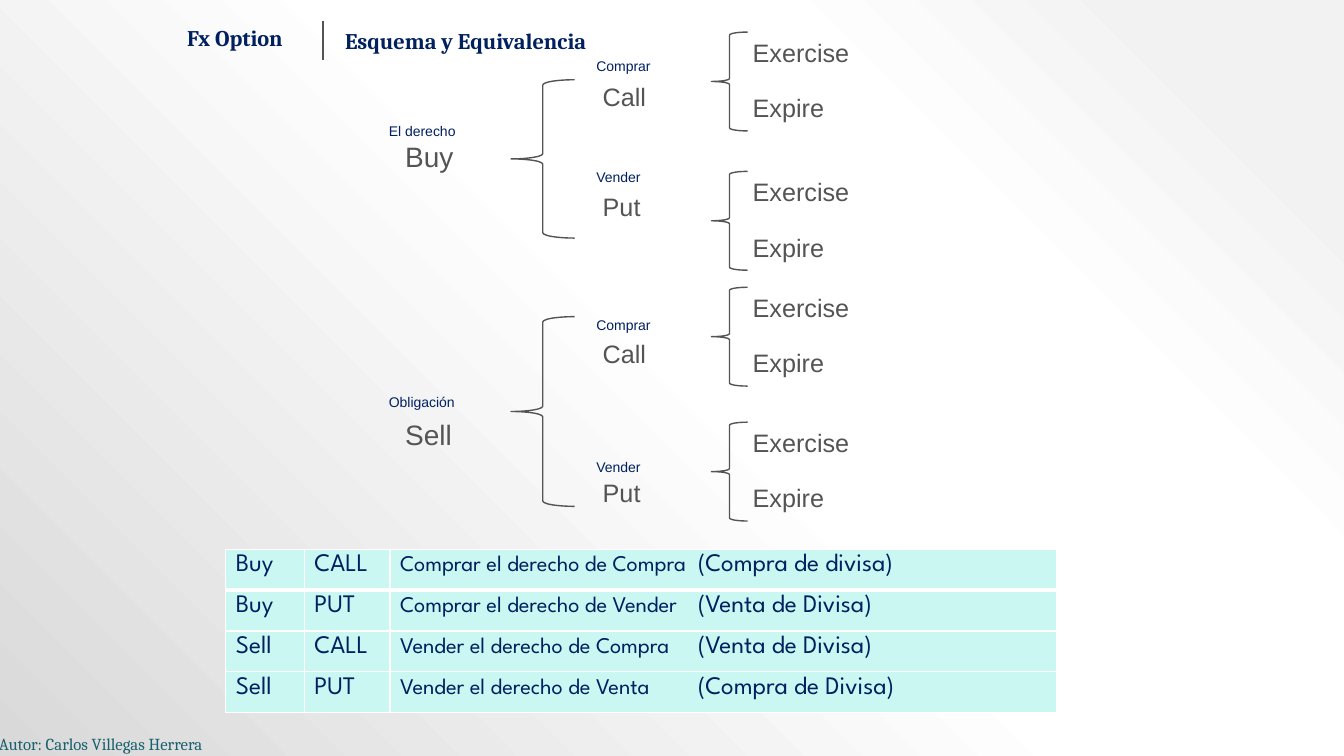
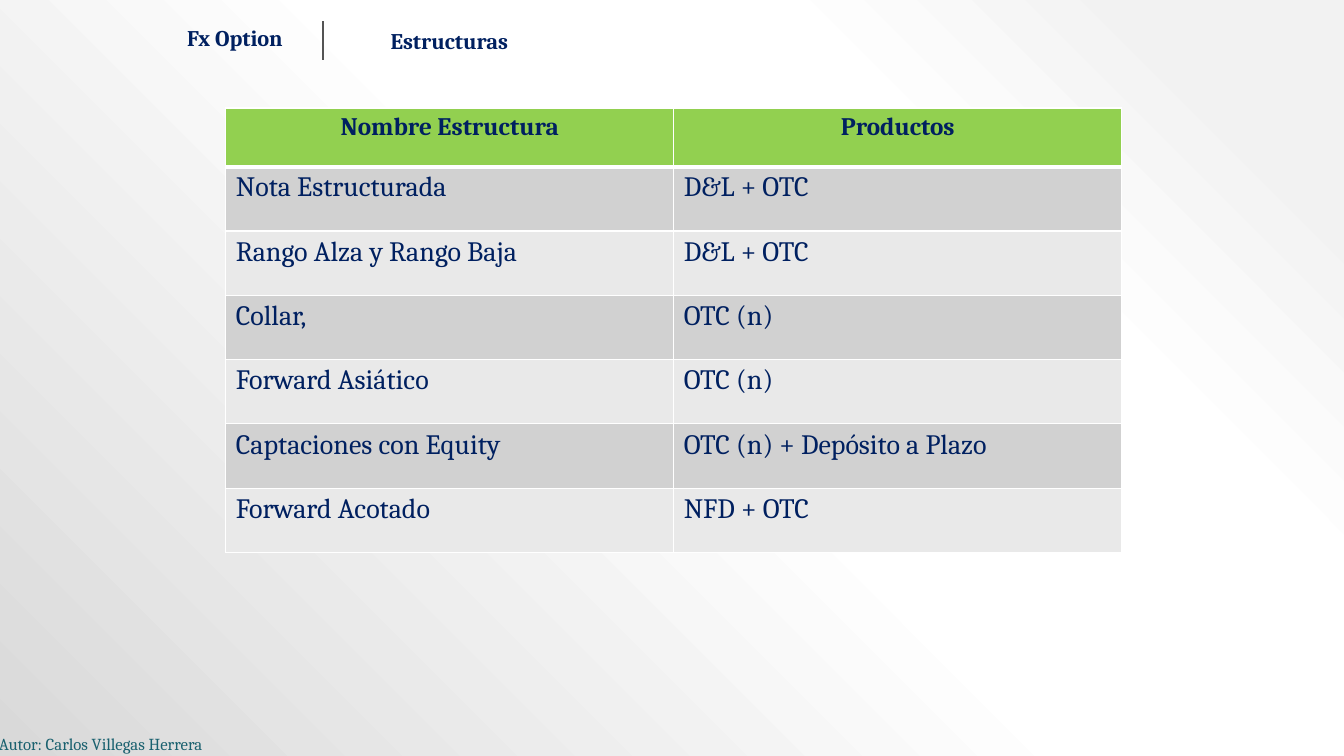
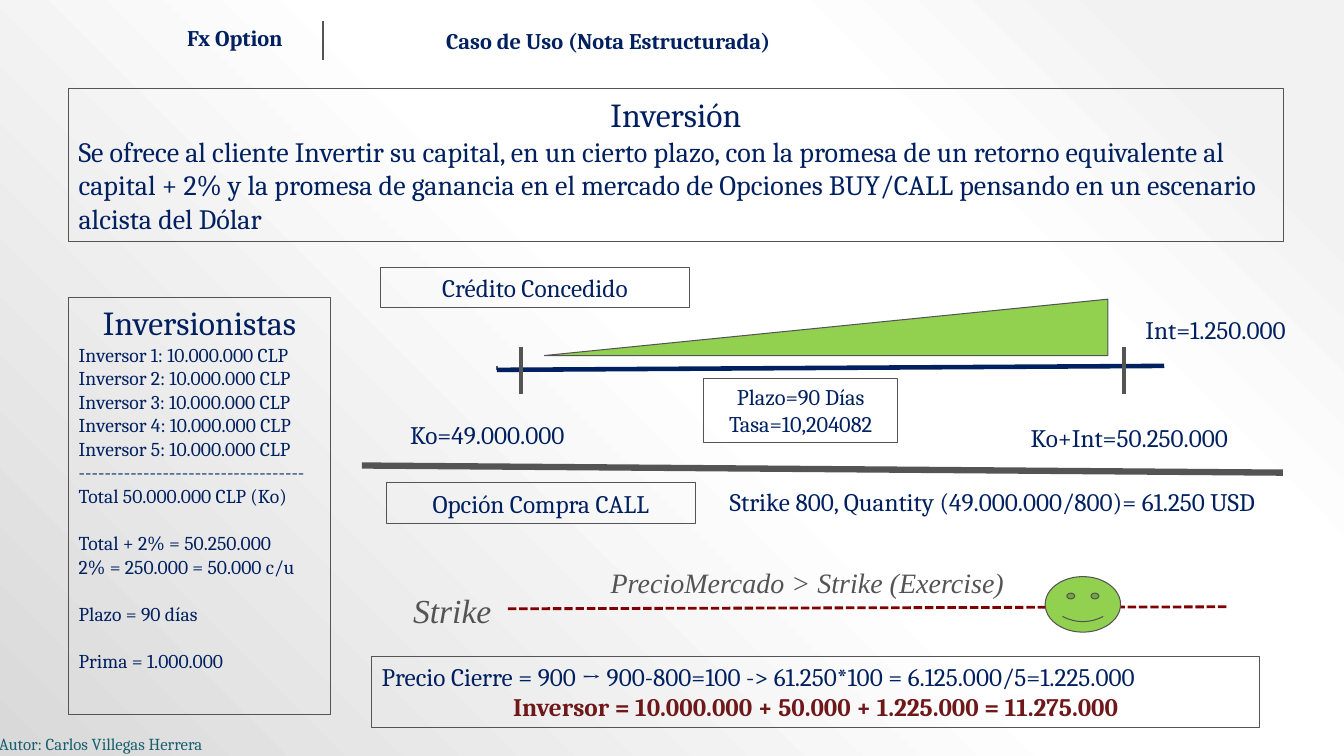
from dataclasses import dataclass
from typing import NamedTuple, Optional, Sequence

from lxml.etree import SubElement
from pptx import Presentation
from pptx.dml.color import RGBColor
from pptx.enum.dml import MSO_LINE_DASH_STYLE as Dash
from pptx.enum.shapes import MSO_CONNECTOR as Connector, MSO_SHAPE as Preset
from pptx.enum.text import MSO_ANCHOR as Anchor, MSO_AUTO_SIZE as AutoSize, PP_ALIGN as Align
from pptx.oxml import parse_xml
from pptx.oxml.ns import nsdecls, qn
from pptx.util import Cm, Pt

NAVY = RGBColor(0x00, 0x20, 0x60)
GRAY = RGBColor(0x54, 0x54, 0x54)
TEAL = RGBColor(0x1A, 0x61, 0x6F)
GREEN = RGBColor(0x92, 0xD0, 0x50)
AQUA = RGBColor(0xCA, 0xF7, 0xF1)
DARK_BAND = RGBColor(0xD1, 0xD1, 0xD1)
LIGHT_BAND = RGBColor(0xE9, 0xE9, 0xE9)
MAROON = RGBColor(0x80, 0x00, 0x00)
WINE = RGBColor(0x6F, 0x18, 0x1A)
WHITE = RGBColor(0xFF, 0xFF, 0xFF)
BACKGROUND_STOPS = ((10, "F2F2F2"), (28, "FFFFFF"), (48, "FFFFFF"), (100, "D9D9D9"))

TITLE_ONLY, TITLE_AND_BODY = 5, 1
LINE_HEIGHT = 1.02


class Box(NamedTuple):
    """Left, top, width and height in centimetres."""
    left: float
    top: float
    width: float
    height: float

    def lengths(self) -> tuple:
        return tuple(Cm(value) for value in self)


class Point(NamedTuple):
    x: float
    y: float


@dataclass(frozen=True)
class Style:
    size: float
    font: str = "Cambria"
    color: RGBColor = NAVY
    bold: bool = False
    italic: bool = False


class Run(NamedTuple):
    text: str
    style: Style


@dataclass(frozen=True)
class Para:
    runs: Sequence[Run]
    align: Align = Align.LEFT
    before: float = 0


@dataclass(frozen=True)
class Position:
    """A side of the option contract, with its brace."""
    name: str
    name_top: float
    note: str
    note_top: float
    brace_top: float
    brace_height: float


@dataclass(frozen=True)
class Instrument:
    name: str
    name_top: float
    note: str
    note_top: float
    outcome_top: float


HEADING = Style(16, bold=True)
CREDIT = Style(12, color=TEAL)
SECTION = Style(24)
BODY = Style(20)
LABEL = Style(18)
TERM = Style(16)
LIST = Style(14)
RESULT = Style(18, color=WINE, bold=True)
TABLE_HEADER = Style(18, bold=True)
SIDE = Style(20, "Arial", GRAY)
BRANCH = Style(18, "Arial", GRAY)
NOTE = Style(10, "Arial")
MEANING = Style(16, "League Spartan")
EQUIVALENCE = Style(18, "League Spartan")
STRIKE = Style(24, "Times New Roman", GRAY, italic=True)
MARKET = Style(20, "Times New Roman", GRAY, italic=True)

POSITIONS = (
    Position("Buy", 3.4, "El derecho", 2.95, 2.01, 3.99),
    Position("Sell", 10.39, "Obligación", 9.8, 7.98, 4.78),
)
INSTRUMENTS = (
    Instrument("Call", 1.93, "Comprar", 1.32, 0.81),
    Instrument("Put", 4.7, "Vender", 4.11, 4.32),
    Instrument("Call", 8.41, "Comprar", 7.85, 7.24),
    Instrument("Put", 11.91, "Vender", 11.43, 10.64),
)
EQUIVALENCES = (
    ("Buy", "CALL", "Comprar el derecho de Compra", "(Compra de divisa)"),
    ("Buy", "PUT", "Comprar el derecho de Vender", "(Venta de Divisa)"),
    ("Sell", "CALL", "Vender el derecho de Compra", "(Venta de Divisa)"),
    ("Sell", "PUT", "Vender el derecho de Venta", "(Compra de Divisa)"),
)
STRUCTURES = (
    ("Nota Estructurada", "D&L + OTC"),
    ("Rango Alza y Rango Baja", "D&L + OTC"),
    ("Collar,", "OTC (n)"),
    ("Forward Asiático", "OTC (n)"),
    ("Captaciones con Equity", "OTC (n) + Depósito a Plazo"),
    ("Forward Acotado", "NFD + OTC"),
)


def para(text: str, style: Style, align: Align = Align.LEFT, before: float = 0) -> Para:
    return Para((Run(text, style),), align, before)


def write(frame, paras: Sequence[Para]) -> None:
    for index, content in enumerate(paras):
        paragraph = frame.paragraphs[0] if index == 0 else frame.add_paragraph()
        paragraph.alignment = content.align
        paragraph.space_before = Pt(content.before)
        for text, style in content.runs:
            run = paragraph.add_run()
            run.text = text
            font = run.font
            font.name, font.size = style.font, Pt(style.size)
            font.bold, font.italic = style.bold, style.italic
            font.color.rgb = style.color


def fill_frame(shape, paras: Sequence[Para], anchor: Anchor = Anchor.TOP) -> None:
    frame = shape.text_frame
    frame.word_wrap = True
    frame.auto_size = AutoSize.NONE
    frame.vertical_anchor = anchor
    write(frame, paras)


def place(shape, box: Box) -> None:
    shape.left, shape.top, shape.width, shape.height = box.lengths()


def add_text(slide, box: Box, content: Para, anchor: Anchor = Anchor.TOP) -> None:
    fill_frame(slide.shapes.add_textbox(*box.lengths()), [content], anchor)


def add_outline(slide, preset: Preset, box: Box, fill: Optional[RGBColor] = None,
                weight: float = 0.75):
    shape = slide.shapes.add_shape(preset, *box.lengths())
    shape.shadow.inherit = False
    if fill is None:
        shape.fill.background()
    else:
        shape.fill.solid()
        shape.fill.fore_color.rgb = fill
    shape.line.color.rgb = GRAY
    shape.line.width = Pt(weight)
    return shape


def add_panel(slide, box: Box, *paras: Para) -> None:
    fill_frame(add_outline(slide, Preset.RECTANGLE, box), paras)


def add_line(slide, start: Point, end: Point, weight: float, color: RGBColor = GRAY,
             dash: Optional[Dash] = None) -> None:
    connector = slide.shapes.add_connector(
        Connector.STRAIGHT, *(Cm(value) for value in (*start, *end)))
    connector.line.color.rgb = color
    connector.line.width = Pt(weight)
    if dash is not None:
        connector.line.dash_style = dash
    SubElement(connector.element.spPr, qn("a:effectLst"))


def set_borders(cell, row: int) -> None:
    """White rules, with a heavier one below the first row."""
    heavy_edge = {0: "lnB", 1: "lnT"}.get(row)
    properties = cell.fill and cell._tc.get_or_add_tcPr()
    for edge in ("lnL", "lnR", "lnT", "lnB"):
        width = Pt(3 if edge == heavy_edge else 1)
        properties.append(parse_xml(
            f'<a:{edge} {nsdecls("a")} w="{width}"><a:solidFill>'
            f'<a:srgbClr val="{WHITE}"/></a:solidFill></a:{edge}>'))


def add_grid(slide, left: float, top: float, widths: Sequence[float],
             heights: Sequence[float], rows: Sequence[Sequence[Para]],
             fills: Sequence[RGBColor]):
    box = Box(left, top, sum(widths), sum(heights))
    table = slide.shapes.add_table(len(rows), len(widths), *box.lengths()).table
    table.first_row = table.horz_banding = False
    for column, width in zip(table.columns, widths):
        column.width = Cm(width)
    for index, (row, height, fill) in enumerate(zip(rows, heights, fills)):
        table.rows[index].height = Cm(height)
        for cell, content in zip(table.rows[index].cells, row):
            set_borders(cell, index)
            cell.fill.solid()
            cell.fill.fore_color.rgb = fill
            write(cell.text_frame, [content])
    return table


def set_tab_stop(paragraph, position: float) -> None:
    tabs = SubElement(paragraph._p.get_or_add_pPr(), qn("a:tabLst"))
    SubElement(tabs, qn("a:tab"), pos=str(Cm(position)), algn="l")


def remove_bullet(paragraph) -> None:
    properties = paragraph._p.get_or_add_pPr()
    properties.set("marL", "0")
    properties.set("indent", "0")
    SubElement(properties, qn("a:buNone"))


def set_background(master) -> None:
    """Radial gradient that spreads from the top right corner."""
    master.background.fill.solid()
    solid = master.element.find(f".//{qn('p:bgPr')}/{qn('a:solidFill')}")
    stops = "".join(f'<a:gs pos="{position * 1000}"><a:srgbClr val="{color}"/></a:gs>'
                    for position, color in BACKGROUND_STOPS)
    solid.getparent().replace(solid, parse_xml(
        f'<a:gradFill {nsdecls("a")} rotWithShape="1"><a:gsLst>{stops}</a:gsLst>'
        '<a:path path="circle"><a:fillToRect l="100000" t="0" r="0" b="100000"/></a:path>'
        '</a:gradFill>'))


def add_slide(deck, title: str, title_width: float, layout: int = TITLE_ONLY):
    """Add a slide with the heading, divider and author line that all share."""
    slide = deck.slides.add_slide(deck.slide_layouts[layout])
    place(slide.shapes.title, Box(8.33, 0.43, title_width, 1.19))
    fill_frame(slide.shapes.title, [para(title, HEADING, Align.CENTER)], Anchor.MIDDLE)
    add_line(slide, Point(8.13, 0.53), Point(8.13, 1.52), 1.5)
    add_text(slide, Box(4.32, 0.36, 3.2, 1.19),
             para("Fx Option", HEADING, Align.CENTER), Anchor.MIDDLE)
    add_text(slide, Box(-0.28, 18.36, 5.97, 0.76),
             para("Autor: Carlos Villegas Herrera", CREDIT))
    return slide


def build_scheme(deck) -> None:
    slide = add_slide(deck, "Esquema y Equivalencia", 6.81)
    for side in POSITIONS:
        add_text(slide, Box(9.96, side.name_top, 2.01, 1.75), para(side.name, SIDE))
        add_text(slide, Box(9.55, side.note_top, 2.8, 0.69), para(side.note, NOTE))
        add_outline(slide, Preset.LEFT_BRACE,
                    Box(12.88, side.brace_top, 1.6, side.brace_height), weight=1)
    for option in INSTRUMENTS:
        add_text(slide, Box(14.94, option.name_top, 1.8, LINE_HEIGHT),
                 para(option.name, BRANCH))
        add_text(slide, Box(14.78, option.note_top, 2, 0.69), para(option.note, NOTE))
        add_outline(slide, Preset.LEFT_BRACE, Box(17.93, option.outcome_top, 0.91, 2.49),
                    weight=1)
        for step, outcome in enumerate(("Exercise", "Expire")):
            add_text(slide, Box(18.72, option.outcome_top + 1.4 * step, 3.4, LINE_HEIGHT),
                     para(outcome, BRANCH))

    rows = [(para(side, EQUIVALENCE), para(option, EQUIVALENCE),
             Para((Run(f"{meaning}\t", MEANING), Run(currency, EQUIVALENCE))))
            for side, option, meaning, currency in EQUIVALENCES]
    table = add_grid(slide, 5.69, 13.84, (1.98, 2.16, 16.8), [1.03] * len(rows),
                     rows, [AQUA] * len(rows))
    for row in table.rows:
        set_tab_stop(row.cells[2].text_frame.paragraphs[0], 7.5)


def build_structures(deck) -> None:
    slide = add_slide(deck, "Estructuras", 5.99)
    header = [para(text, TABLE_HEADER, Align.CENTER)
              for text in ("Nombre Estructura", "Productos")]
    rows = [header] + [[para(text, BODY) for text in row] for row in STRUCTURES]
    bands = [(DARK_BAND, LIGHT_BAND)[index % 2] for index in range(len(STRUCTURES))]
    add_grid(slide, 5.69, 2.72, (11.29, 11.29), [1.48] + [1.62] * len(STRUCTURES),
             rows, [GREEN] + bands)


def add_investors(slide) -> None:
    gap = 17
    investors = slide.placeholders[1]
    place(investors, Box(1.73, 7.49, 6.6, 10.52))
    investors.line.color.rgb = GRAY
    investors.line.width = Pt(0.75)
    fill_frame(investors, [
        para("Inversionistas", SECTION, Align.CENTER),
        *(para(f"Inversor {number}: 10.000.000 CLP", LIST) for number in range(1, 6)),
        para("-" * 35, LIST),
        para("Total 50.000.000 CLP (Ko)", LIST),
        para("Total + 2% = 50.250.000", LIST, before=gap),
        para("2% = 250.000 = 50.000 c/u", LIST),
        para("Plazo = 90 días", LIST, before=gap),
        para("Prima = 1.000.000", LIST, before=gap),
    ])
    for paragraph in investors.text_frame.paragraphs:
        remove_bullet(paragraph)


def add_credit_timeline(slide) -> None:
    start = Point(12.52, 9.32)
    add_line(slide, start, Point(start.x, 9.22), 1)
    add_line(slide, start, Point(29.34, 9.22), 3.25, NAVY)
    for x in (13.13, 28.32):
        add_line(slide, Point(x, 8.74), Point(x, 9.93), 2.75)
    growth = add_outline(slide, Preset.RIGHT_TRIANGLE, Box(13.72, 7.54, 14.2, 1.42), GREEN)
    growth.element.spPr.get_or_add_xfrm().set("flipH", "1")
    for text, left, top, width in (("Ko=49.000.000", 9.83, 10.44, 4.9),
                                   ("Ko+Int=50.250.000", 25.17, 10.52, 6.58),
                                   ("Int=1.250.000", 28.35, 7.8, 4.57)):
        add_text(slide, Box(left, top, width, LINE_HEIGHT), para(text, LABEL, Align.CENTER))
    add_panel(slide, Box(17.73, 9.53, 4.9, 1.63),
              para("Plazo=90 Días", TERM, Align.CENTER),
              para("Tasa=10,204082", TERM, Align.CENTER))


def build_use_case(deck) -> None:
    slide = add_slide(deck, "Caso de Uso (Nota Estructurada)", 14, TITLE_AND_BODY)
    add_panel(slide, Box(1.73, 2.24, 30.61, 3.84),
              para("Inversión", SECTION, Align.CENTER),
              para("Se ofrece al cliente Invertir su capital, en un cierto plazo, con la "
                   "promesa de un retorno equivalente al capital + 2% y la promesa de "
                   "ganancia en el mercado de Opciones BUY/CALL pensando en un escenario "
                   "alcista del Dólar", BODY))
    add_investors(slide)
    add_credit_timeline(slide)
    for text, left, top in (("Crédito Concedido", 9.58, 6.73),
                            ("Opción Compra CALL", 9.73, 12.17)):
        add_panel(slide, Box(left, top, 7.8, LINE_HEIGHT), para(text, LABEL, Align.CENTER))
    add_text(slide, Box(18.14, 12.12, 14.81, LINE_HEIGHT),
             para("Strike 800, Quantity (49.000.000/800)= 61.250 USD", LABEL))
    add_line(slide, Point(9.12, 11.73), Point(32.33, 11.91), 4.5)

    add_line(slide, Point(12.8, 15.34), Point(30.94, 15.29), 2, MAROON, Dash.SQUARE_DOT)
    add_text(slide, Box(10.16, 14.73, 3, 1.27), para("Strike", STRIKE))
    add_text(slide, Box(15.14, 14.12, 11, 1.12),
             para("PrecioMercado > Strike (Exercise)", MARKET))
    add_outline(slide, Preset.SMILEY_FACE, Box(26.34, 14.53, 1.9, 1.4), GREEN)
    add_panel(slide, Box(9.37, 16.54, 22.38, 1.8),
              para("Precio Cierre = 900 → 900-800=100 -> 61.250*100 = "
                   "6.125.000/5=1.225.000", LABEL),
              para("Inversor = 10.000.000 + 50.000 + 1.225.000 = 11.275.000",
                   RESULT, Align.CENTER))


def main() -> None:
    deck = Presentation()
    deck.slide_width, deck.slide_height = Cm(33.87), Cm(19.05)
    set_background(deck.slide_master)
    build_scheme(deck)
    build_structures(deck)
    build_use_case(deck)
    deck.save("out.pptx")


if __name__ == "__main__":
    main()
